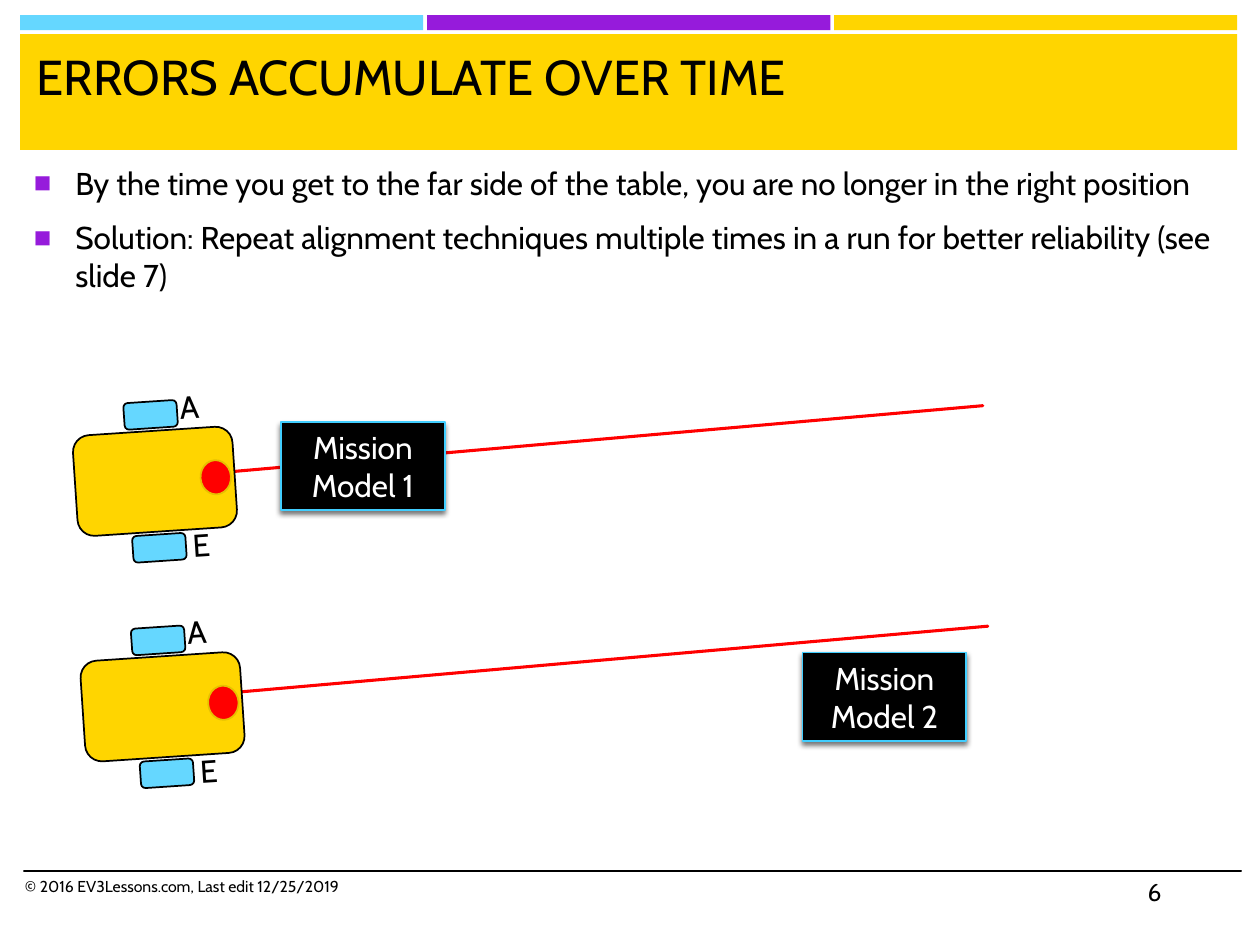
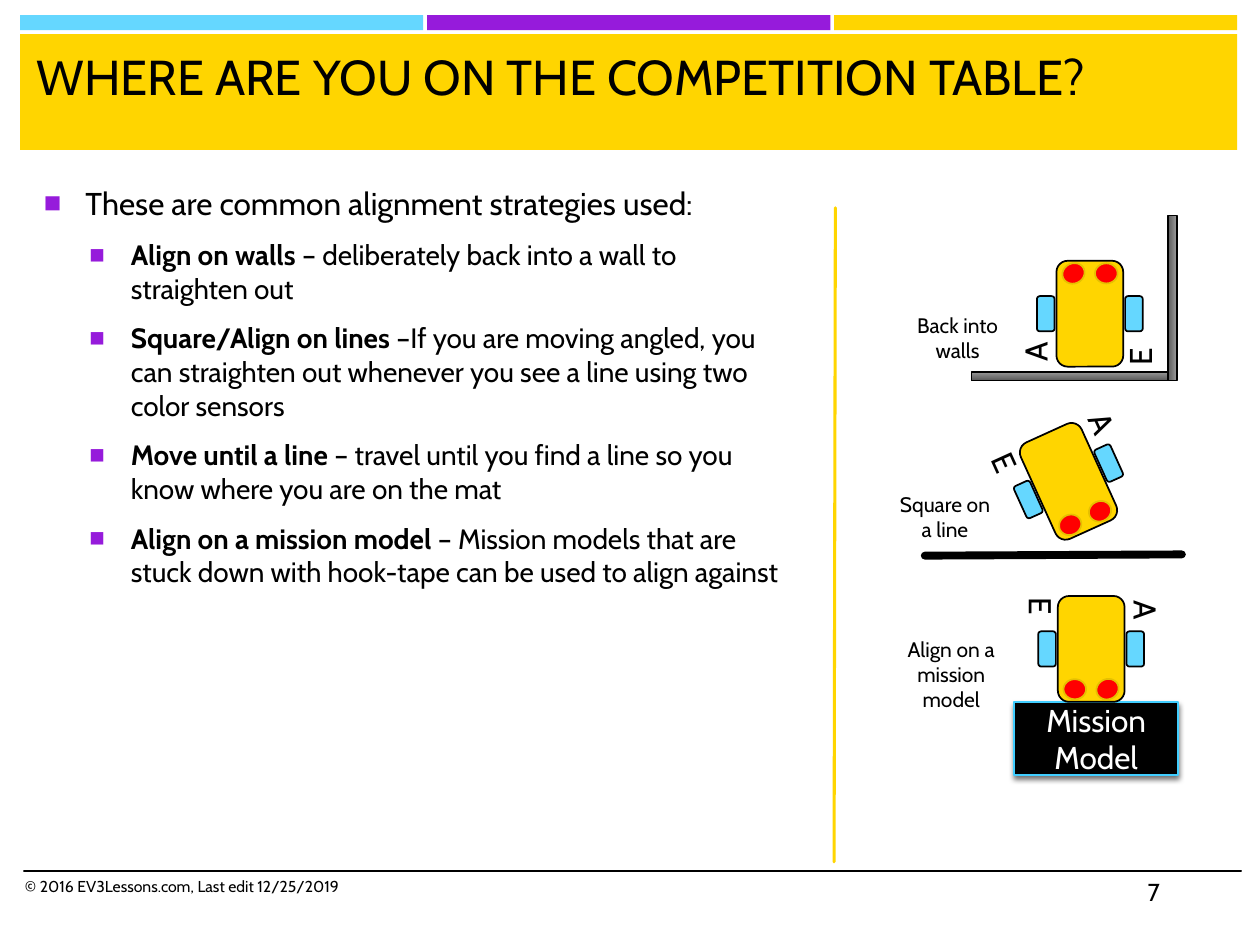
import math
from dataclasses import dataclass
from typing import Optional

import pptx
import pptx.dml.color
import pptx.enum.shapes
import pptx.enum.text
import pptx.oxml
import pptx.oxml.ns
import pptx.util

Inches = pptx.util.Inches
Pt = pptx.util.Pt
SHAPE = pptx.enum.shapes.MSO_SHAPE
ANCHOR = pptx.enum.text.MSO_ANCHOR
ALIGN = pptx.enum.text.PP_ALIGN
FONT = "Cabin"
COLORS = {
    "black": "000000",
    "white": "FFFFFF",
    "sky": "65D7FF",
    "purple": "961BDB",
    "yellow": "FFD500",
    "red": "FF0000",
    "sensor_edge": "E6C000",
    "model_edge": "41CEFF",
    "wall_light": "9B9B9B",
    "wall_dark": "595959",
}


@dataclass(frozen=True)
class Part:
    x: float
    y: float
    w: float
    h: float
    kind: int
    fill: str
    edge: str = "black"
    turn: Optional[float] = None


@dataclass(frozen=True)
class Label:
    text: str
    x: float
    y: float


@dataclass(frozen=True)
class Robot:
    x: float
    y: float
    turn: float
    scale: float
    sensors: tuple[Part, ...]
    labels: tuple[Label, ...]


@dataclass(frozen=True)
class Bullet:
    text: str
    lead: str = ""
    level: int = 0


def sensor(x: float, turn: Optional[float] = None) -> Part:
    return Part(x, -0.32, 0.18, 0.16, SHAPE.OVAL, "red", "sensor_edge", turn)


CHASSIS = (
    Part(0, 0, 0.53, 0.84, SHAPE.ROUNDED_RECTANGLE, "yellow"),
    Part(0.35, 0, 0.14, 0.28, SHAPE.ROUNDED_RECTANGLE, "sky"),
    Part(-0.35, 0, 0.14, 0.28, SHAPE.ROUNDED_RECTANGLE, "sky"),
)
ONE_SENSOR = (sensor(0),)
TWO_SENSORS = (sensor(0.13), sensor(-0.13, 155.6))
FRONT_LABELS = (Label("A", -0.38, -0.26), Label("E", 0.35, -0.28))
REAR_LABELS = (Label("A", -0.5, 0.31), Label("E", 0.33, 0.34))


def rgb(name: str) -> pptx.dml.color.RGBColor:
    return pptx.dml.color.RGBColor.from_string(COLORS[name])


def add_run(p, text: str, *, size: float = 18, color: str = "black", bold: bool = False) -> None:
    r = p.add_run()
    r.text = text
    r.font.name = FONT
    r.font.size = Pt(size)
    r.font.bold = bold
    r.font.color.rgb = rgb(color)


def write(sp, text: str, *, align=ALIGN.LEFT, anchor=ANCHOR.TOP, grow: bool = False, **fmt) -> None:
    tf = sp.text_frame
    tf.word_wrap = True
    tf.vertical_anchor = anchor
    tf.auto_size = (pptx.enum.text.MSO_AUTO_SIZE.SHAPE_TO_FIT_TEXT if grow
                    else pptx.enum.text.MSO_AUTO_SIZE.NONE)
    p = tf.paragraphs[0]
    p.alignment = align
    add_run(p, text, **fmt)


def add_box(s, x: float, y: float, w: float, h: float):
    return s.shapes.add_textbox(Inches(x), Inches(y), Inches(w), Inches(h))


def add_block(s, kind: int, x: float, y: float, w: float, h: float, fill: str,
              edge: Optional[str] = None, turn: float = 0):
    sp = s.shapes.add_shape(kind, Inches(x), Inches(y), Inches(w), Inches(h))
    sp.shadow.inherit = False
    sp.rotation = turn
    sp.fill.solid()
    sp.fill.fore_color.rgb = rgb(fill)
    if edge:
        sp.line.color.rgb = rgb(edge)
        sp.line.width = Pt(1)
    else:
        sp.line.fill.background()
    return sp


def add_line(s, x1: float, y1: float, x2: float, y2: float, color: str, width: float) -> None:
    line = s.shapes.add_connector(pptx.enum.shapes.MSO_CONNECTOR.STRAIGHT,
                                  Inches(x1), Inches(y1), Inches(x2), Inches(y2))
    line.line.color.rgb = rgb(color)
    line.line.width = Pt(width)
    props = line.element.spPr
    props.find(pptx.oxml.ns.qn("a:ln")).set("cap", "rnd")
    props.append(pptx.oxml.parse_xml(f"<a:effectLst {pptx.oxml.ns.nsdecls('a')}/>"))


def add_bullets(s, x: float, y: float, w: float, h: float, bullets: list[Bullet]) -> None:
    tf = add_box(s, x, y, w, h).text_frame
    tf.word_wrap = True
    ns = pptx.oxml.ns.nsdecls("a")
    for i, item in enumerate(bullets):
        p = tf.paragraphs[0] if i == 0 else tf.add_paragraph()
        p.level = item.level
        size = 18 - 2 * item.level
        props = p._p.get_or_add_pPr()
        props.set("marL", str(Inches(0.33 + 0.36 * item.level)))
        props.set("indent", str(Inches(-0.33)))
        for xml in (f'<a:buClr {ns}><a:srgbClr val="{COLORS["purple"]}"/></a:buClr>',
                    f'<a:buSzPct {ns} val="92000"/>',
                    f'<a:buFont {ns} typeface="Arial"/>',
                    f'<a:buChar {ns} char="■"/>'):
            props.append(pptx.oxml.parse_xml(xml))
        p.space_before = Pt(0.2 * size if i else 0)
        p.space_after = Pt(6)
        if item.lead:
            add_run(p, item.lead, size=size, bold=True)
        add_run(p, item.text, size=size)


def add_model(s, x: float, y: float, h: float, text: str) -> None:
    sp = add_block(s, SHAPE.RECTANGLE, x, y, 1.3, h, "black", "model_edge")
    write(sp, text, align=ALIGN.CENTER, anchor=ANCHOR.MIDDLE, color="white")
    effects = sp.element.spPr.find(pptx.oxml.ns.qn("a:effectLst"))
    effects.append(pptx.oxml.parse_xml(
        f'<a:outerShdw {pptx.oxml.ns.nsdecls("a")} blurRad="{Pt(3)}" dist="{Pt(2)}" '
        f'dir="5400000" rotWithShape="0"><a:srgbClr val="{COLORS["black"]}">'
        '<a:alpha val="55000"/></a:srgbClr></a:outerShdw>'))


def add_wall(s, x: float, y: float, w: float, turn: float = 0) -> None:
    sp = add_block(s, SHAPE.RECTANGLE, x, y, w, 0.07, "wall_light", "black", turn)
    sp.fill.gradient()
    sp.fill.gradient_angle = 270
    for stop, color, position in zip(sp.fill.gradient_stops, ("wall_light", "wall_dark"), (0, 1)):
        stop.color.rgb = rgb(color)
        stop.position = position


def add_robot(s, robot: Robot) -> None:
    cos, sin = math.cos(math.radians(robot.turn)), math.sin(math.radians(robot.turn))

    def place(x: float, y: float, w: float, h: float) -> tuple[float, float, float, float]:
        w, h = w * robot.scale, h * robot.scale
        return (robot.x + robot.scale * (x * cos - y * sin) - w / 2,
                robot.y + robot.scale * (x * sin + y * cos) - h / 2, w, h)

    for part in CHASSIS + robot.sensors:
        turn = robot.turn if part.turn is None else part.turn
        add_block(s, part.kind, *place(part.x, part.y, part.w, part.h), part.fill, part.edge, turn)
    for label in robot.labels:
        sp = add_box(s, *place(label.x, label.y, 0.34, 0.27))
        sp.rotation = (robot.turn + 270) % 360
        write(sp, label.text, grow=True)


def add_slide(prs, title: str, number: int):
    s = prs.slides.add_slide(prs.slide_layouts[5])
    for i, color in enumerate(("sky", "purple", "yellow")):
        add_block(s, SHAPE.RECTANGLE, 0.16 + 3.23 * i, 0.12, 3.2, 0.12, color)
    add_block(s, SHAPE.RECTANGLE, 0.16, 0.27, 9.66, 0.92, "yellow")
    add_line(s, 0.19, 6.91, 9.85, 6.91, "black", 1)
    sp = s.shapes.title
    sp.left, sp.top, sp.width, sp.height = Inches(0.19), Inches(0.32), Inches(9.57), Inches(0.82)
    write(sp, title, size=28)
    s.shapes.element.append(sp.element)
    write(add_box(s, 0.1, 6.91, 5.33, 0.4), "© 2016 EV3Lessons.com, Last edit 12/25/2019", size=9)
    write(add_box(s, 9.01, 6.91, 0.84, 0.4), str(number), size=14)
    return s


def build_errors(prs) -> None:
    s = add_slide(prs, "ERRORS ACCUMULATE OVER TIME", 6)
    add_bullets(s, 0.17, 1.25, 9.66, 5.56, [
        Bullet("By the time you get to the far side of the table, "
               "you are no longer in the right position"),
        Bullet("Solution: Repeat alignment techniques multiple times in a run "
               "for better reliability (see slide 7)"),
    ])
    add_line(s, 0.85, 3.83, 7.8, 3.22, "red", 1.75)
    add_model(s, 2.23, 3.35, 0.7, "Mission Model 1")
    add_line(s, 0.9, 5.58, 7.84, 4.97, "red", 1.75)
    add_model(s, 6.37, 5.18, 0.7, "Mission Model 2")
    for x, y in ((1.29, 5.61), (1.23, 3.82)):
        add_robot(s, Robot(x, y, 86.2, 1.51, ONE_SENSOR, FRONT_LABELS))


def build_strategies(prs) -> None:
    s = add_slide(prs, "WHERE ARE YOU ON THE COMPETITION TABLE?", 7)
    add_bullets(s, 0.25, 1.41, 6.15, 5.33, [
        Bullet("These are common alignment strategies used:"),
        Bullet("– deliberately back into a wall to straighten out", "Align on walls ", 1),
        Bullet("–If you are moving angled, you can straighten out whenever you see a line "
               "using two color sensors", "Square/Align on lines ", 1),
        Bullet("– travel until you find a line so you know where you are on the mat",
               "Move until a line ", 1),
        Bullet("– Mission models that are stuck down with hook-tape can be used to align against",
               "Align on a mission model ", 1),
    ])
    add_line(s, 9.38, 4.4, 7.34, 4.41, "black", 4.5)
    add_model(s, 8.05, 5.57, 0.58, "Mission Model")
    add_wall(s, 7.71, 2.95, 1.62)
    add_wall(s, 8.65, 2.33, 1.31, 90)
    for x, y, h, text in ((7.1, 2.43, 0.5, "Back into walls"),
                          (7, 3.85, 0.5, "Square on a line"),
                          (7.05, 5, 0.71, "Align on a mission model")):
        write(add_box(s, x, y, 1, h), text, size=12, align=ALIGN.CENTER, grow=True)
    add_line(s, 6.62, 6.84, 6.63, 1.65, "yellow", 1.75)
    for x, y, turn in ((8.48, 3.82, 155.6), (8.65, 2.49, 0), (8.66, 5.15, 180)):
        add_robot(s, Robot(x, y, turn, 1, TWO_SENSORS, REAR_LABELS))


def main() -> None:
    prs = pptx.Presentation()
    prs.slide_width, prs.slide_height = Inches(10), Inches(7.5)
    build_errors(prs)
    build_strategies(prs)
    prs.save("out.pptx")


if __name__ == "__main__":
    main()
